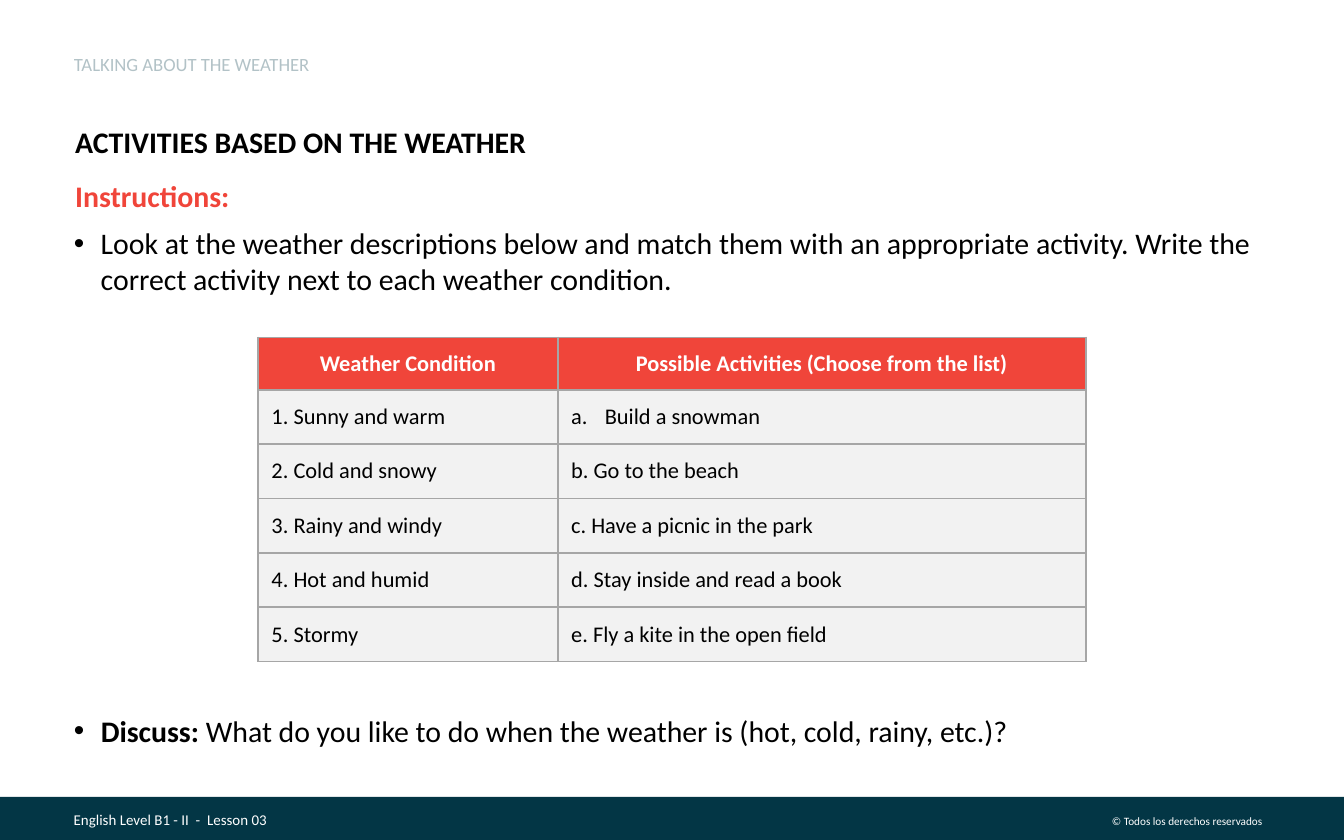
from lxml import etree
from pptx import Presentation
from pptx.dml.color import RGBColor
from pptx.enum.shapes import MSO_SHAPE
from pptx.enum.text import MSO_ANCHOR, MSO_AUTO_SIZE, PP_ALIGN
from pptx.oxml.ns import qn
from pptx.util import Inches, Pt

RECTANGLE = MSO_SHAPE.RECTANGLE
TOP, MIDDLE, BOTTOM = MSO_ANCHOR.TOP, MSO_ANCHOR.MIDDLE, MSO_ANCHOR.BOTTOM
LEFT, CENTER, RIGHT = PP_ALIGN.LEFT, PP_ALIGN.CENTER, PP_ALIGN.RIGHT
FIT_SHAPE = MSO_AUTO_SIZE.SHAPE_TO_FIT_TEXT

FONT = "Calibri"
BLACK, WHITE = "000000", "FFFFFF"
RED, NAVY, HEADING_NAVY = "F0453A", "033645", "033646"
ROW_FILL, BORDER = "F2F2F2", "A6A6A6"
FOOTER_INSETS = (0.1, 0.05)

TABLE_ROWS = [
    ("Weather Condition", "Possible Activities (Choose from the list)"),
    ("1. Sunny and warm", "Build a snowman"),
    ("2. Cold and snowy", "b. Go to the beach"),
    ("3. Rainy and windy", "c. Have a picnic in the park"),
    ("4. Hot and humid", "d. Stay inside and read a book"),
    ("5. Stormy", "e. Fly a kite in the open field"),
]


def rgb(color):
    return RGBColor.from_string(color)


def add_element(parent, tag, **attributes):
    return etree.SubElement(parent, qn(tag), attributes)


def add_run(paragraph, text, size, color=BLACK, bold=False):
    run = paragraph.add_run()
    run.text = text
    run.font.name = FONT
    run.font.size = Pt(size)
    run.font.bold = bold
    run.font.color.rgb = rgb(color)
    return run


def set_indent(paragraph, left, first=0):
    properties = paragraph._p.get_or_add_pPr()
    properties.set("marL", str(Inches(left)))
    properties.set("indent", str(Inches(first)))
    return properties


def add_bullet(paragraph, tag="a:buChar", indent=0.2, **attributes):
    properties = set_indent(paragraph, indent, -indent)
    add_element(add_element(properties, "a:buClr"), "a:srgbClr", val=BLACK)
    if tag == "a:buChar":
        add_element(properties, "a:buFont", typeface="Arial")
        attributes = {"char": "•"}
    add_element(properties, tag, **attributes)


def add_text_box(slide, left, top, width, height, insets=(0, 0), anchor=TOP):
    box = slide.shapes.add_textbox(
        Inches(left), Inches(top), Inches(width), Inches(height))
    frame = box.text_frame
    frame.word_wrap = True
    frame.auto_size = FIT_SHAPE
    frame.vertical_anchor = anchor
    frame.margin_left = frame.margin_right = Inches(insets[0])
    frame.margin_top = frame.margin_bottom = Inches(insets[1])
    return frame


def add_footer(slide):
    bar = slide.shapes.add_shape(
        RECTANGLE, Inches(0), Inches(5.93), Inches(10), Inches(0.32))
    bar.shadow.inherit = False
    bar.fill.solid()
    bar.fill.fore_color.rgb = rgb(NAVY)
    bar.line.fill.background()
    rights = add_text_box(slide, 7.99, 6.01, 1.5, 0.2, FOOTER_INSETS).paragraphs[0]
    rights.alignment = RIGHT
    add_run(rights, "© Todos los derechos reservados", 6, WHITE)
    lesson = add_text_box(slide, 0.45, 5.98, 3.47, 0.24, FOOTER_INSETS).paragraphs[0]
    add_run(lesson, "English Level B1 - II  -  Lesson 03", 8, WHITE)


def add_section_heading(slide):
    paragraph = add_text_box(slide, 0.55, 0.41, 4.45, 0.15, anchor=BOTTOM).paragraphs[0]
    paragraph.line_spacing = 0.9
    run = add_run(paragraph, "TALKING ABOUT THE WEATHER", 10, HEADING_NAVY)
    color = run._r.rPr.find(".//" + qn("a:srgbClr"))
    add_element(color, "a:alpha", val="29000")


def add_instructions(slide):
    frame = add_text_box(slide, 0.55, 0.92, 8.9, 1.3)
    title = frame.paragraphs[0]
    subtitle = frame.add_paragraph()
    task = frame.add_paragraph()
    for paragraph in (title, subtitle):
        set_indent(paragraph, 0.01)
    add_bullet(task)
    for paragraph, space in ((title, 10), (subtitle, 6), (task, 10)):
        paragraph.space_after = Pt(space)
    add_run(title, "ACTIVITIES BASED ON THE WEATHER", 16, bold=True)
    add_run(subtitle, "Instructions:", 16, RED, True)
    add_run(task, "Look at the weather descriptions below and match them with an "
            "appropriate activity. Write the correct activity next to each "
            "weather condition.", 16)


def add_discussion(slide):
    paragraph = add_text_box(slide, 0.55, 5.3, 8.79, 0.27).paragraphs[0]
    add_bullet(paragraph)
    add_run(paragraph, "Discuss: ", 16, bold=True)
    add_run(paragraph, "What do you like to do when the weather is "
            "(hot, cold, rainy, etc.)?", 16)


def set_borders(cell):
    properties = cell._tc.get_or_add_tcPr()
    for tag in ("a:lnL", "a:lnR", "a:lnT", "a:lnB"):
        line = add_element(properties, tag, w=str(Pt(1)))
        add_element(add_element(line, "a:solidFill"), "a:srgbClr", val=BORDER)


def fill_cell(cell, text, header):
    set_borders(cell)
    cell.fill.solid()
    cell.fill.fore_color.rgb = rgb(RED if header else ROW_FILL)
    cell.vertical_anchor = MIDDLE
    paragraph = cell.text_frame.paragraphs[0]
    paragraph.alignment = CENTER if header else LEFT
    add_run(paragraph, text, 12, WHITE if header else BLACK, header)


def add_weather_table(slide):
    table = slide.shapes.add_table(
        len(TABLE_ROWS), 2, Inches(1.92), Inches(2.51),
        Inches(6.16), Inches(2.44)).table
    for column, width in zip(table.columns, (2.23, 3.93)):
        column.width = Inches(width)
    for index, texts in enumerate(TABLE_ROWS):
        header = index == 0
        table.rows[index].height = Inches(0.39 if header else 0.405)
        for cell, text in zip(table.rows[index].cells, texts):
            fill_cell(cell, text, header)
    add_bullet(table.cell(1, 1).text_frame.paragraphs[0],
               "a:buAutoNum", 0.25, type="alphaLcPeriod")


def main():
    presentation = Presentation()
    presentation.slide_width = Inches(10)
    presentation.slide_height = Inches(6.25)
    slide = presentation.slides.add_slide(presentation.slide_layouts[6])
    add_footer(slide)
    add_discussion(slide)
    add_instructions(slide)
    add_weather_table(slide)
    add_section_heading(slide)
    presentation.save("out.pptx")


if __name__ == "__main__":
    main()
